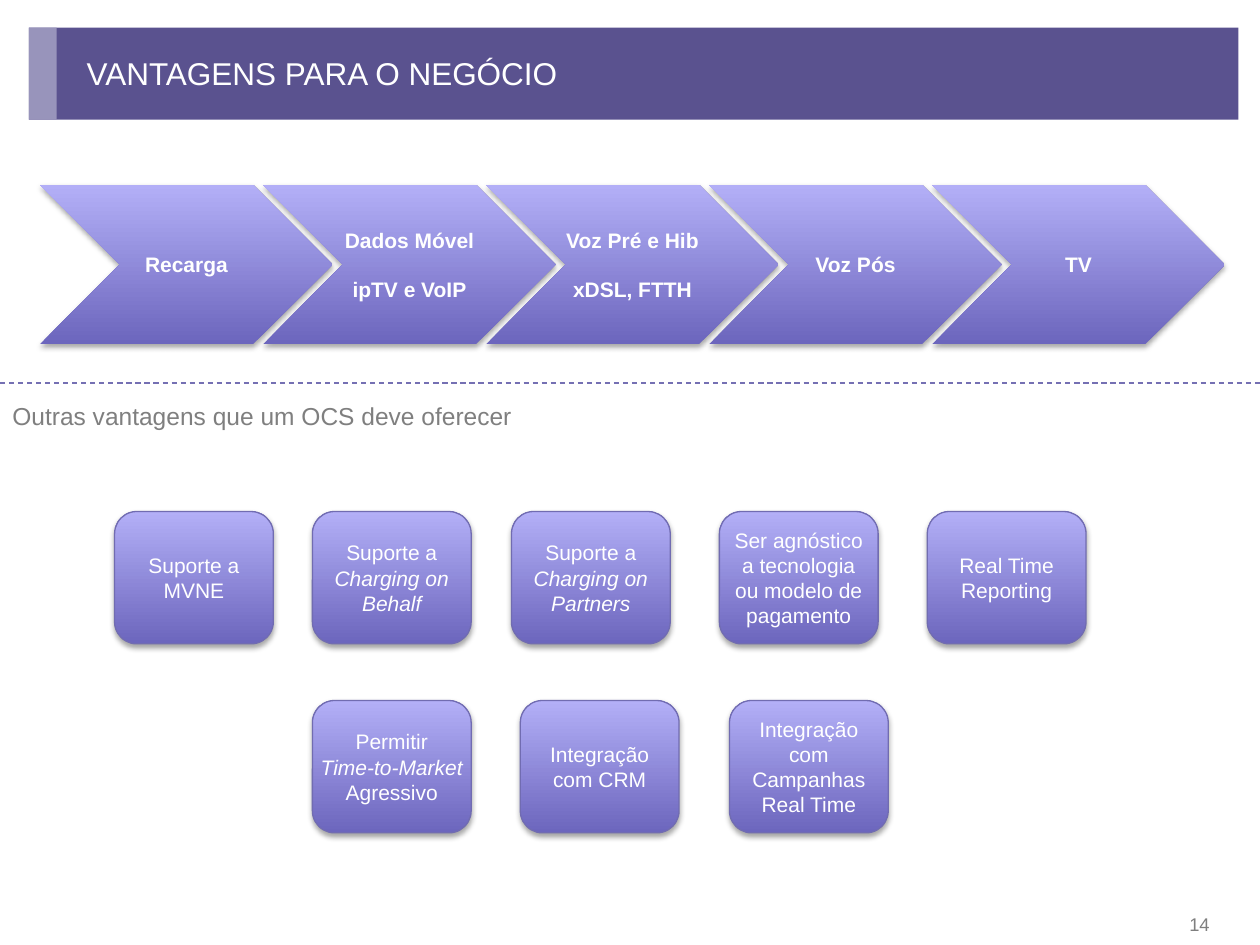
import pptx
import pptx.util
import pptx.dml.color
import pptx.enum.dml
import pptx.enum.shapes
import pptx.enum.text
import pptx.oxml
import pptx.oxml.ns

Inches, Pt = pptx.util.Inches, pptx.util.Pt
RGB = pptx.dml.color.RGBColor
SHAPE = pptx.enum.shapes.MSO_SHAPE
ALIGN = pptx.enum.text.PP_ALIGN
MIDDLE = pptx.enum.text.MSO_ANCHOR.MIDDLE

WHITE = RGB(0xFF, 0xFF, 0xFF)
GREY = RGB(0x7F, 0x7F, 0x7F)
BANNER = RGB(0x5A, 0x52, 0x8F)
ACCENT = RGB(0x98, 0x94, 0xBB)
DARK = RGB(0x6C, 0x66, 0xBD)
LIGHT = RGB(0xB3, 0xAF, 0xF7)
EDGE = RGB(0x71, 0x6C, 0xB1)
RULE = RGB(0x75, 0x70, 0xB3)

TITLE = "VANTAGENS PARA O NEGÓCIO"
LEAD = "Outras vantagens que um OCS deve oferecer"
PAGE = "14"
STEPS = [
    ["Recarga"],
    ["Dados Móvel", "ipTV e VoIP"],
    ["Voz Pré e Hib", "xDSL, FTTH"],
    ["Voz Pós"],
    ["TV"],
]
# Rows of cards: top, then (left, side inset, lines); *stars* mark italics
ROWS = [
    (4.06, [
        (0.91, 0.04, ["Suporte a MVNE"]),
        (2.48, 0.04, ["Suporte a", "*Charging on Behalf*"]),
        (4.06, 0.04, ["Suporte a *Charging on Partners*"]),
        (5.71, 0.04, ["Ser agnóstico a tecnologia ou modelo de pagamento"]),
        (7.36, 0.04, ["Real Time Reporting"]),
    ]),
    (5.56, [
        (2.48, 0, ["Permitir", "*Time-to-Market*", "Agressivo"]),
        (4.13, 0.04, ["Integração com CRM"]),
        (5.79, 0.04, ["Integração com Campanhas Real Time"]),
    ]),
]
SHADOW = (
    '<a:outerShdw %s blurRad="40000" dist="23000" dir="5400000" rotWithShape="0">'
    '<a:srgbClr val="000000"><a:alpha val="35000"/></a:srgbClr></a:outerShdw>'
    % pptx.oxml.ns.nsdecls("a")
)

deck = pptx.Presentation()
deck.slide_width, deck.slide_height = Inches(10), Inches(7.5)
slide = deck.slides.add_slide(deck.slide_layouts[6])
shapes = slide.shapes


def write(shape, lines, size, color, align, inset, bold=False, gap=0):
    """Fill a shape with lines of text; inset is left, top, right, bottom."""
    frame = shape.text_frame
    frame.word_wrap = True
    frame.vertical_anchor = MIDDLE
    (frame.margin_left, frame.margin_top,
     frame.margin_right, frame.margin_bottom) = map(Inches, inset)
    for i, line in enumerate(lines):
        para = frame.add_paragraph() if i else frame.paragraphs[0]
        para.alignment = align
        if i:
            para.space_before = Pt(gap)
        for j, part in enumerate(line.split("*")):
            if part:
                run = para.add_run()
                run.text = part
                font = run.font
                font.name, font.size, font.bold = "Arial", Pt(size), bold
                font.italic = j % 2 == 1
                font.color.rgb = color
    return frame.paragraphs[0]


def add_bar(width, color):
    bar = shapes.add_shape(SHAPE.RECTANGLE, *map(Inches, (0.23, 0.22, width, 0.73)))
    bar.shadow.inherit = False
    bar.fill.solid()
    bar.fill.fore_color.rgb = color
    bar.line.fill.background()


def add_label(box, text, size, color, align, inset):
    label = shapes.add_textbox(*map(Inches, box))
    return write(label, [text], size, color, align, inset)


def add_block(kind, box):
    """Add a shape with the purple gradient and a soft shadow below."""
    block = shapes.add_shape(kind, *map(Inches, box))
    block.fill.gradient()
    block.fill.gradient_angle = 90
    for stop, color in zip(block.fill.gradient_stops, (DARK, LIGHT)):
        stop.color.rgb = color
    block.line.fill.background()
    block.shadow.inherit = False
    effects = block._element.spPr.find(pptx.oxml.ns.qn("a:effectLst"))
    effects.append(pptx.oxml.parse_xml(SHADOW))
    return block


add_bar(9.6, BANNER)
add_bar(0.22, ACCENT)
add_label((0.59, 0.23, 7.64, 0.7), TITLE, 18, WHITE, ALIGN.LEFT, (0.1, 0.05, 0.1, 0.05))
page = add_label((8.67, 7.14, 0.97, 0.36), PAGE, 10.5, GREY, ALIGN.RIGHT,
                 (0.04, 0.04, 0.04, 0))
page.line_spacing = Pt(12)

for i, lines in enumerate(STEPS):
    step = add_block(SHAPE.CHEVRON, (0.32 + 1.77 * i, 1.47, 2.32, 1.26))
    write(step, lines, 12, WHITE, ALIGN.CENTER, (0, 0.04, 0, 0.04), bold=True, gap=14)

lead = add_label((0, 3.12, 10, 0.34), LEAD, 14, GREY, ALIGN.LEFT, (0.1, 0.05, 0.1, 0.05))
lead.line_spacing = 1.1

rule = shapes.add_connector(pptx.enum.shapes.MSO_CONNECTOR.STRAIGHT,
                            0, Inches(3.04), Inches(10), Inches(3.04))
rule.line.color.rgb = RULE
rule.line.width = Pt(0.75)
rule.line.dash_style = pptx.enum.dml.MSO_LINE.DASH
rule._element.spPr.append(pptx.oxml.parse_xml(
    "<a:effectLst %s/>" % pptx.oxml.ns.nsdecls("a")))

for top, cards in ROWS:
    for left, side, lines in cards:
        card = add_block(SHAPE.ROUNDED_RECTANGLE, (left, top, 1.26, 1.05))
        card.line.color.rgb = EDGE
        card.line.width = Pt(0.75)
        write(card, lines, 12, WHITE, ALIGN.CENTER, (side, 0.04, side, 0.04))

deck.save("out.pptx")
